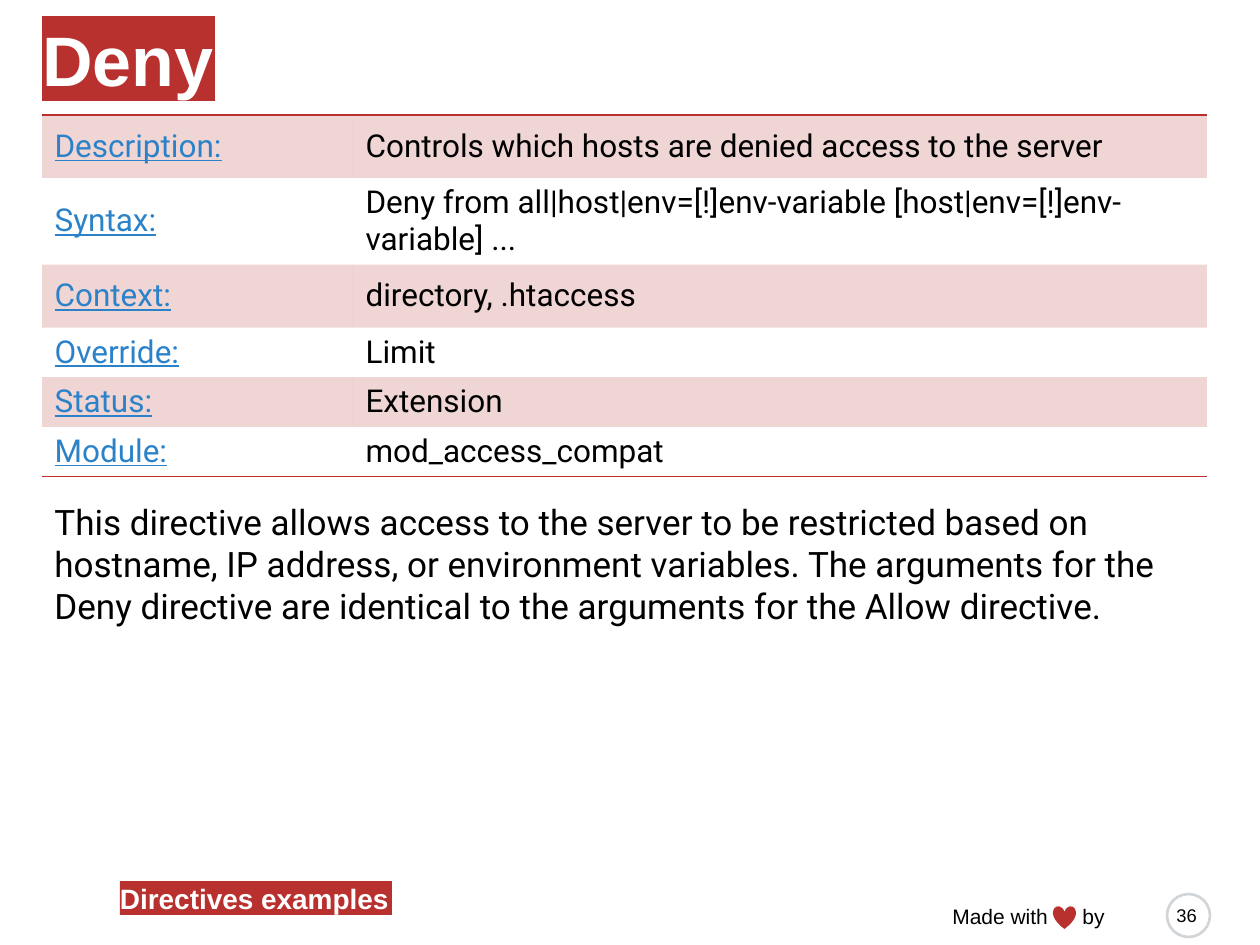
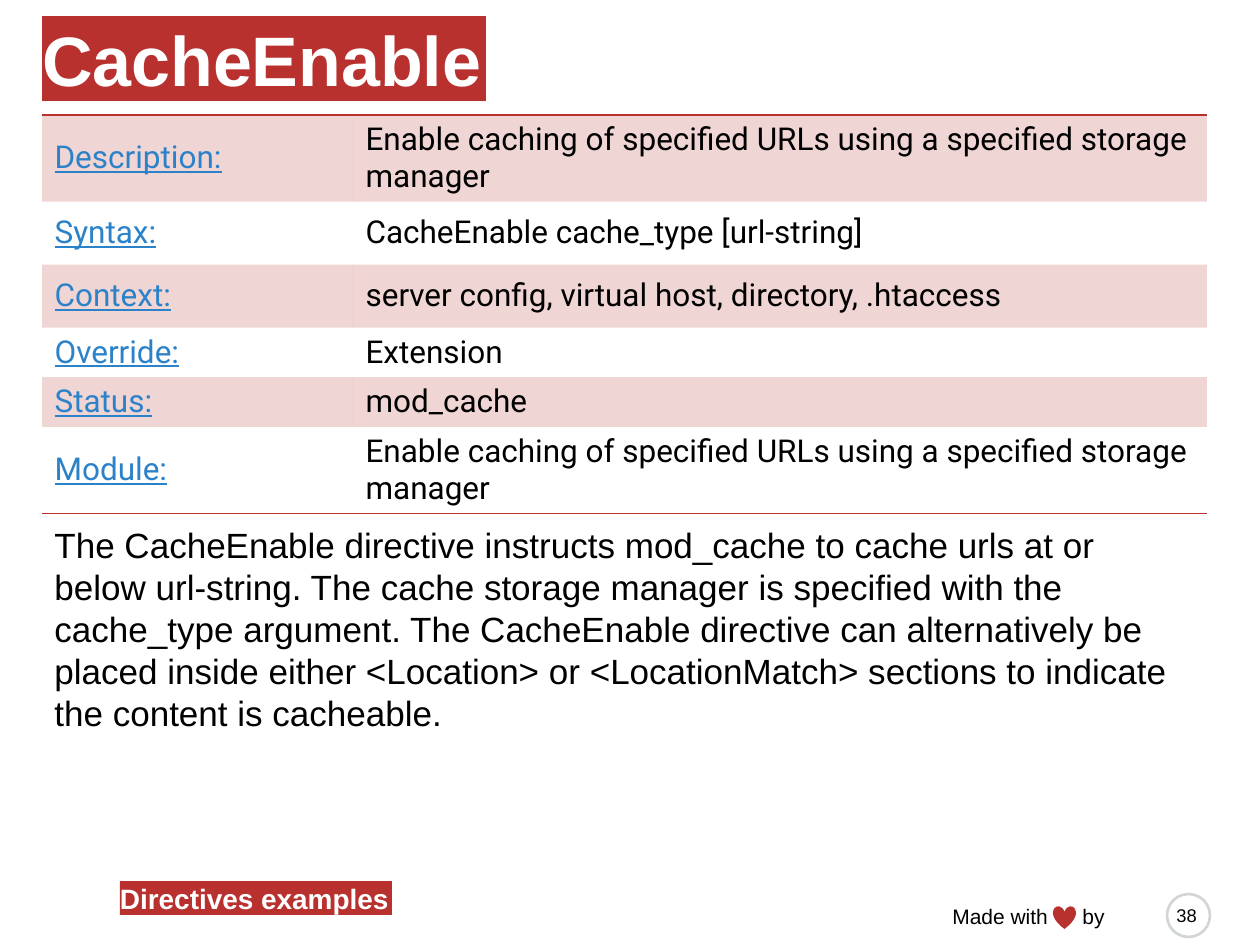
from dataclasses import dataclass

from lxml import etree
from pptx import Presentation
from pptx.dml.color import RGBColor
from pptx.enum.shapes import MSO_SHAPE
from pptx.enum.text import MSO_ANCHOR, MSO_AUTO_SIZE, PP_ALIGN
from pptx.oxml.ns import qn
from pptx.util import Emu, Pt

# Shared look
RED = RGBColor(0xB8, 0x31, 0x2F)
BLUE = RGBColor(0x2C, 0x82, 0xC9)
GREY = RGBColor(0xD1, 0xD5, 0xD8)
BLACK = RGBColor(0x00, 0x00, 0x00)
WHITE = RGBColor(0xFF, 0xFF, 0xFF)
ARIAL = "Arial"
ROBOTO = "Roboto"

RECTANGLE, OVAL, HEART = MSO_SHAPE.RECTANGLE, MSO_SHAPE.OVAL, MSO_SHAPE.HEART
MIDDLE = MSO_ANCHOR.MIDDLE
LEFT = PP_ALIGN.LEFT
NO_AUTOFIT = MSO_AUTO_SIZE.NONE

PX_PER_INCH = 126
EMU_PER_PX = 914400 / PX_PER_INCH
TITLE_ONLY = 5
PLAIN_TABLE_STYLE = "{2D5ABB26-0587-4C30-8999-92F81FD0307C}"

MARGIN = 42
TABLE_TOP = 115
COLUMN_WIDTHS = (311, 854)
ROW_HEIGHTS = (63, 63, 63, 35, 35, 35)
ROW_LABELS = ("Description:", "Syntax:", "Context:", "Override:", "Status:", "Module:")
BAND_OPACITY = "20000"
BY_TAB = 130


@dataclass(frozen=True)
class Box:
    left: int
    top: int
    width: int
    height: int

    def emu(self) -> tuple[Emu, Emu, Emu, Emu]:
        return px(self.left), px(self.top), px(self.width), px(self.height)


@dataclass(frozen=True)
class TextStyle:
    size: float
    color: RGBColor = BLACK
    font: str = ARIAL
    bold: bool = False
    underline: bool = False


@dataclass(frozen=True)
class Directive:
    name: str
    title_width: int
    number: int
    values: tuple[str, ...]
    summary: str
    summary_box: Box
    summary_font: str


TITLE_STYLE = TextStyle(40, WHITE, bold=True)
SECTION_STYLE = TextStyle(16, WHITE, bold=True)
LABEL_STYLE = TextStyle(18, BLUE, ROBOTO, underline=True)
VALUE_STYLE = TextStyle(18, font=ROBOTO)

DIRECTIVES = (
    Directive(
        "Deny", 173, 36,
        ("Controls which hosts are denied access to the server",
         "Deny from all|host|env=[!]env-variable [host|env=[!]env-variable] ...",
         "directory, .htaccess",
         "Limit",
         "Extension",
         "mod_access_compat"),
        "This directive allows access to the server to be restricted based on hostname, "
        "IP address, or environment variables. The arguments for the Deny directive are "
        "identical to the arguments for the Allow directive.",
        Box(MARGIN, 494, 1152, 140), ROBOTO,
    ),
    Directive(
        "CacheEnable", 444, 38,
        ("Enable caching of specified URLs using a specified storage manager",
         "CacheEnable cache_type [url-string]",
         "server config, virtual host, directory, .htaccess",
         "Extension",
         "mod_cache",
         "Enable caching of specified URLs using a specified storage manager"),
        "The CacheEnable directive instructs mod_cache to cache urls at or below url-string. "
        "The cache storage manager is specified with the cache_type argument. The CacheEnable "
        "directive can alternatively be placed inside either <Location> or <LocationMatch> "
        "sections to indicate the content is cacheable.",
        Box(MARGIN, 517, 1152, 224), ARIAL,
    ),
)


def px(length: int) -> Emu:
    return Emu(round(length * EMU_PER_PX))


def write(text_frame, text: str, style: TextStyle) -> None:
    text_frame.text = text
    paragraph = text_frame.paragraphs[0]
    paragraph.alignment = LEFT
    for run in paragraph.runs:
        font = run.font
        font.name, font.size = style.font, Pt(style.size)
        font.bold, font.underline = style.bold, style.underline
        font.color.rgb = style.color


def add_text(slide, box: Box, text: str, style: TextStyle):
    shape = slide.shapes.add_textbox(*box.emu())
    shape.text_frame.word_wrap = True
    write(shape.text_frame, text, style)
    return shape


def add_filled(slide, kind, box: Box, fill: RGBColor):
    shape = slide.shapes.add_shape(kind, *box.emu())
    shape.shadow.inherit = False
    shape.fill.solid()
    shape.fill.fore_color.rgb = fill
    shape.line.fill.background()
    return shape


def format_tag(shape, text: str, style: TextStyle) -> None:
    """Red label whose fill fits closely around one line of text."""
    shape.fill.solid()
    shape.fill.fore_color.rgb = RED
    frame = shape.text_frame
    write(frame, text, style)
    frame.margin_left = frame.margin_right = frame.margin_top = frame.margin_bottom = 0
    frame.vertical_anchor = MIDDLE
    frame.auto_size = NO_AUTOFIT
    frame.word_wrap = False


def add_title(slide, directive: Directive) -> None:
    title = slide.shapes.title
    title.left, title.top, title.width, title.height = Box(
        MARGIN, 16, directive.title_width, 85).emu()
    format_tag(title, directive.name, TITLE_STYLE)


def add_rule(cell, side: str) -> None:
    line = etree.SubElement(cell._tc.get_or_add_tcPr(), qn(f"a:{side}"), w=str(Pt(1)))
    fill = etree.SubElement(line, qn("a:solidFill"))
    etree.SubElement(fill, qn("a:srgbClr"), val=str(RED))


def fill_cell(cell, banded: bool) -> None:
    if not banded:
        cell.fill.background()
        return
    cell.fill.solid()
    cell.fill.fore_color.rgb = RED
    color = cell._tc.tcPr.find(f"{qn('a:solidFill')}/{qn('a:srgbClr')}")
    etree.SubElement(color, qn("a:alpha"), val=BAND_OPACITY)


def add_directive_table(slide, values: tuple[str, ...]) -> None:
    box = Box(MARGIN, TABLE_TOP, sum(COLUMN_WIDTHS), sum(ROW_HEIGHTS))
    table = slide.shapes.add_table(len(ROW_HEIGHTS), len(COLUMN_WIDTHS), *box.emu()).table
    table.first_row = table.horz_banding = False
    table._tbl.tblPr.find(qn("a:tableStyleId")).text = PLAIN_TABLE_STYLE
    for column, width in zip(table.columns, COLUMN_WIDTHS):
        column.width = px(width)
    for index, (height, label, value) in enumerate(zip(ROW_HEIGHTS, ROW_LABELS, values)):
        row = table.rows[index]
        row.height = px(height)
        for cell, text, style in zip(row.cells, (label, value), (LABEL_STYLE, VALUE_STYLE)):
            write(cell.text_frame, text, style)
            cell.vertical_anchor = MIDDLE
            if index == 0:
                add_rule(cell, "lnT")
            elif index == len(ROW_HEIGHTS) - 1:
                add_rule(cell, "lnB")
            fill_cell(cell, banded=index % 2 == 0)


def add_footer(slide, number: int) -> None:
    # Section label
    section = add_filled(slide, RECTANGLE, Box(120, 881, 272, 34), RED)
    format_tag(section, "Directives examples", SECTION_STYLE)

    # Credit line, with a tab stop leaving room for the heart
    credit = add_text(slide, Box(940, 897, 212, 38), "Made with\tby", TextStyle(12))
    properties = credit.text_frame.paragraphs[0]._p.get_or_add_pPr()
    tabs = etree.SubElement(properties, qn("a:tabLst"))
    etree.SubElement(tabs, qn("a:tab"), pos=str(px(BY_TAB)), algn="l")
    add_filled(slide, HEART, Box(1053, 906, 23, 23), RED)

    # Page number in its ring
    ring = add_filled(slide, OVAL, Box(1167, 894, 43, 43), WHITE)
    ring.line.color.rgb = GREY
    ring.line.width = Pt(1.5)
    add_text(slide, Box(1164, 898, 57, 50), str(number), TextStyle(10.5))


def add_directive_slide(presentation, directive: Directive) -> None:
    slide = presentation.slides.add_slide(presentation.slide_layouts[TITLE_ONLY])
    add_title(slide, directive)
    add_directive_table(slide, directive.values)
    add_text(slide, directive.summary_box, directive.summary,
             TextStyle(20, font=directive.summary_font))
    add_footer(slide, directive.number)


def main() -> None:
    presentation = Presentation()
    presentation.slide_width = px(10 * PX_PER_INCH)
    presentation.slide_height = px(945)
    for directive in DIRECTIVES:
        add_directive_slide(presentation, directive)
    presentation.save("out.pptx")


if __name__ == "__main__":
    main()
